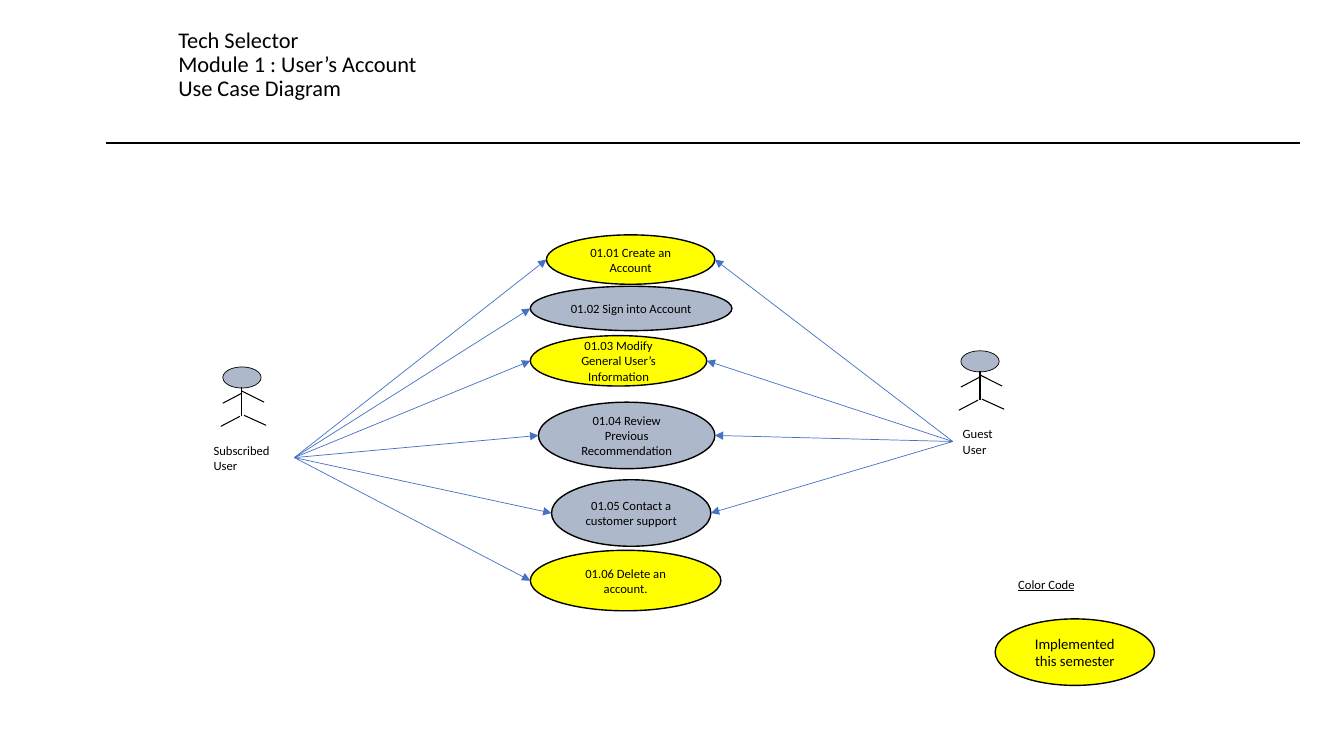
from dataclasses import dataclass
from lxml.etree import SubElement
from pptx import Presentation
from pptx.dml.color import RGBColor
from pptx.enum.shapes import MSO_CONNECTOR as CONN, MSO_SHAPE as SHAPE
from pptx.enum.text import MSO_ANCHOR as ANCHOR, PP_ALIGN as ALIGN
from pptx.oxml.ns import qn
from pptx.util import Inches, Pt


@dataclass(frozen=True)
class Theme:
    font: str = "Calibri"
    title: float = 16
    label: float = 9
    legend: float = 10.5
    ink: str = "000000"
    arrow: str = "4472C4"
    done: str = "FFFF00"
    planned: str = "ADB9CA"


T = Theme()


def rgb(color):
    return RGBColor.from_string(color)


def write(sp, text, size=T.label, align=ALIGN.LEFT, anchor=ANCHOR.TOP,
          spacing=None, underline=None, wrap=True):
    tf = sp.text_frame
    tf.word_wrap = wrap
    tf.vertical_anchor = anchor
    p = tf.paragraphs[0]
    p.text = text
    p.alignment = align
    p.line_spacing = spacing
    for r in p.runs:
        r.font.name = T.font
        r.font.size = Pt(size)
        r.font.color.rgb = rgb(T.ink)
        r.font.underline = underline


def text_box(shapes, box, text, **style):
    write(shapes.add_textbox(*map(Inches, box)), text, **style)


def ellipse(shapes, box, fill, width=1):
    sp = shapes.add_shape(SHAPE.OVAL, *map(Inches, box))
    sp.shadow.inherit = False
    sp.fill.solid()
    sp.fill.fore_color.rgb = rgb(fill)
    sp.line.color.rgb = rgb(T.ink)
    sp.line.width = Pt(width)
    return sp


def line(shapes, start, end, color=T.ink, width=1, arrow=False):
    cx = shapes.add_connector(CONN.STRAIGHT, *map(Inches, (*start, *end)))
    cx.line.color.rgb = rgb(color)
    cx.line.width = Pt(width)
    if arrow:
        SubElement(cx.line._get_or_add_ln(), qn("a:tailEnd"), type="triangle")
    SubElement(cx._element.spPr, qn("a:effectLst"))


def header(s, box):
    x, y, w, h = box
    text_box(s.shapes, (x + 0.62, y, 3.93, 0.96),
             "Tech Selector\vModule 1 : User’s Account\vUse Case Diagram",
             size=T.title, spacing=0.9)
    line(s.shapes, (x, y + h), (x + w, y + h))


# Body, arms and legs, measured from the head's top left corner
LIMBS = [((0.19, 0.2), (0.19, 0.49)),
         ((0.19, 0.26), (0, 0.36)), ((0.19, 0.24), (0.41, 0.35)),
         ((0.17, 0.49), (-0.02, 0.59)), ((0.21, 0.48), (0.43, 0.58))]


def actor(s, head, name, label_dx, label_w):
    """Draw a stick figure; return the middle of its label's left and right edges."""
    x, y = head
    shapes = s.shapes.add_group_shape().shapes
    ellipse(shapes, (x, y, 0.38, 0.21), T.planned, width=0.5)
    for (x1, y1), (x2, y2) in LIMBS:
        line(shapes, (x + x1, y + y1), (x + x2, y + y2), width=0.75)
    left, top, h = x + label_dx, y + 0.7, 0.4
    text_box(shapes, (left, top, label_w, h), name)
    return (left, top + h / 2), (left + label_w, top + h / 2)


# Left, top, width, height inside the region; name; fill; open to guests
USE_CASES = [
    (0.16, 0, 1.67, 0.49, "01.01 Create an Account", T.done, True),
    (0, 0.51, 2, 0.44, "01.02 Sign into Account", T.planned, False),
    (0, 1, 1.75, 0.5, "01.03 Modify General User’s Information", T.done, True),
    (0.08, 1.66, 1.75, 0.66, "01.04 Review Previous Recommendation", T.planned, True),
    (0.21, 2.43, 1.58, 0.66, "01.05 Contact a customer support", T.planned, True),
    (0, 3.13, 1.89, 0.6, "01.06 Delete an account.", T.done, False),
]


def use_cases(s, origin, subscriber, guest):
    x, y = origin
    for dx, dy, w, h, name, fill, for_guest in USE_CASES:
        left, top = x + dx, y + dy
        middle = top + h / 2
        write(ellipse(s.shapes, (left, top, w, h), fill), name,
              align=ALIGN.CENTER, anchor=ANCHOR.MIDDLE)
        ends = [(subscriber, left)]
        if for_guest:
            ends.append((guest, left + w))
        for start, edge in ends:
            line(s.shapes, start, (edge, middle), T.arrow, 0.5, arrow=True)


def legend(s, origin):
    x, y = origin
    text_box(s.shapes, (x + 0.13, y, 0.78, 0.25), "Color Code",
             underline=True, wrap=False)
    write(ellipse(s.shapes, (x, y + 0.47, 1.58, 0.66), T.done),
          "Implemented this semester", size=T.legend,
          align=ALIGN.CENTER, anchor=ANCHOR.MIDDLE)


prs = Presentation()
prs.slide_width, prs.slide_height = Inches(13.33), Inches(7.5)
s = prs.slides.add_slide(prs.slide_layouts[6])

header(s, (1.05, 0.24, 11.84, 1.18))
_, subscriber = actor(s, (2.21, 3.64), "Subscribed User", -0.19, 0.9)
guest, _ = actor(s, (9.53, 3.48), "Guest User", -0.08, 0.68)
use_cases(s, (5.26, 2.33), subscriber, guest)
legend(s, (9.87, 5.67))

prs.save("out.pptx")
